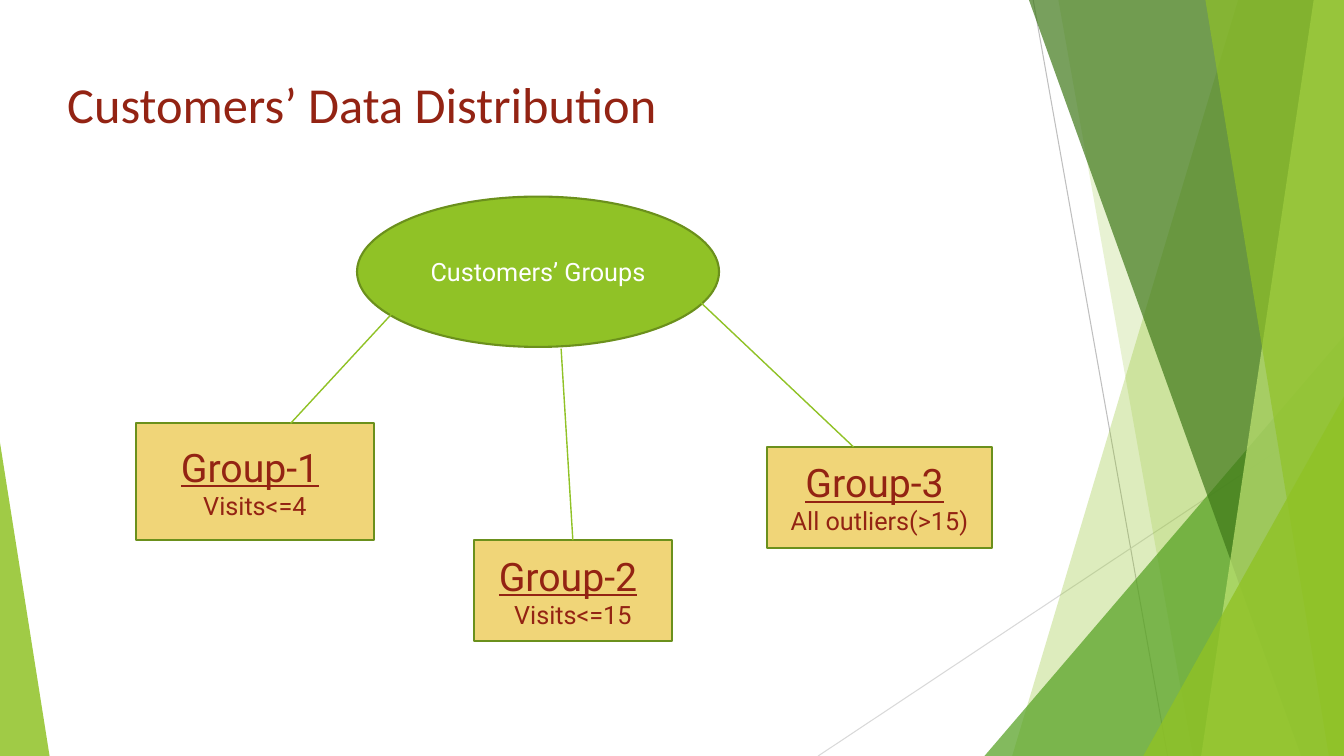
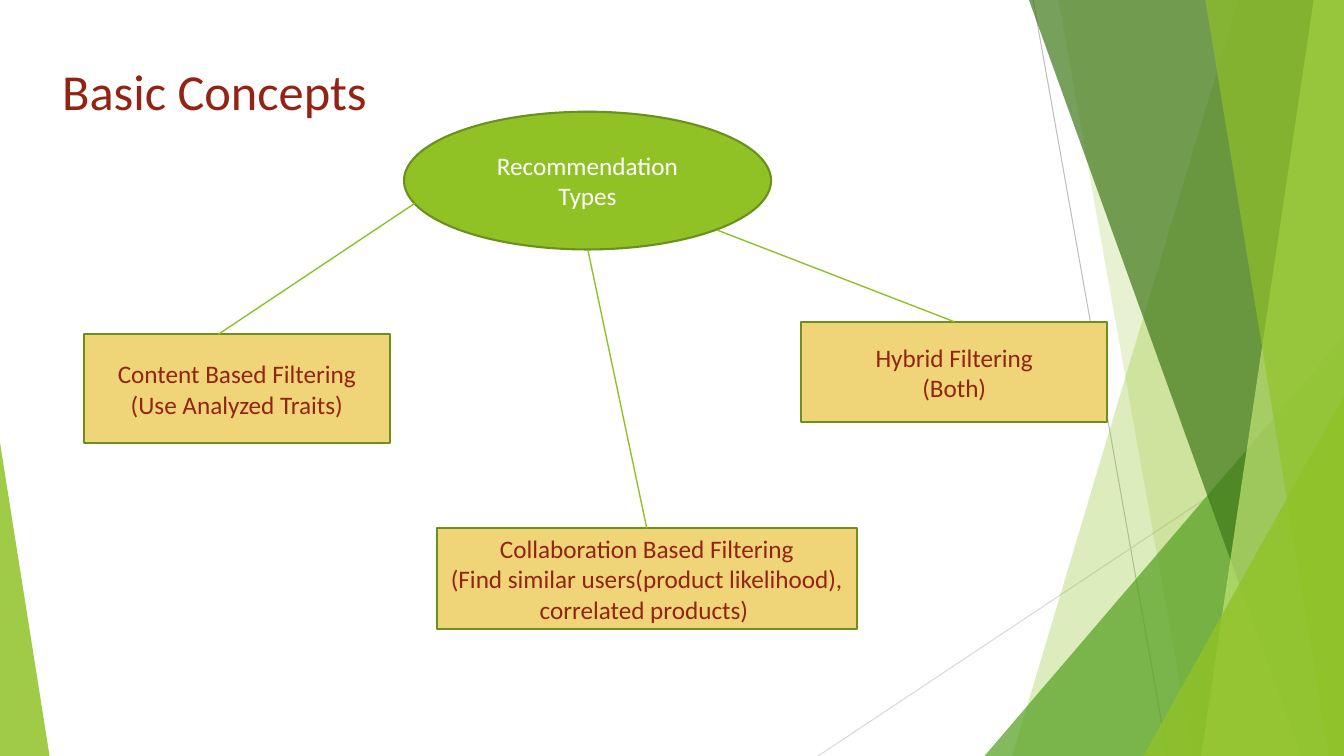
"""Build two tree diagrams on a shared layout with a faceted green backdrop."""
from dataclasses import dataclass

from lxml.etree import SubElement
from pptx import Presentation
from pptx.dml.color import RGBColor
from pptx.enum.shapes import MSO_CONNECTOR, MSO_SHAPE
from pptx.enum.text import MSO_ANCHOR, PP_ALIGN
from pptx.oxml.ns import qn
from pptx.util import Emu, Inches, Pt

COLS, ROWS = 160, 90
CELL = Inches(1) // 12

GREEN = RGBColor(0x90, 0xC2, 0x26)
MID_GREEN = RGBColor(0x54, 0xA0, 0x21)
DARK_GREEN = RGBColor(0x3F, 0x78, 0x19)
PALE_GREEN = RGBColor(0xC0, 0xE4, 0x74)
OUTLINE = RGBColor(0x6B, 0x90, 0x1C)
SAND = RGBColor(0xF0, 0xD5, 0x78)
RED = RGBColor(0x93, 0x23, 0x13)
WHITE = RGBColor(0xFF, 0xFF, 0xFF)
GRAY = RGBColor(0xBF, 0xBF, 0xBF)
LIGHT_GRAY = RGBColor(0xD9, 0xD9, 0xD9)

Point = tuple[float, float]
Box = tuple[float, float, float, float]


@dataclass(frozen=True)
class Band:
    top_x: float
    bottom_x: float
    color: RGBColor
    alpha: int


@dataclass(frozen=True)
class Wedge:
    box: Box
    apex: int
    color: RGBColor
    alpha: int


@dataclass(frozen=True)
class Branch:
    heading: str
    detail: str
    box: Box
    start: Point
    end_x: float


@dataclass(frozen=True)
class Tree:
    title: str
    title_box: Box
    root: str
    root_box: Box
    font: str
    branches: tuple[Branch, ...]
    big_headings: bool = False


BACKDROP = (
    Band(147.4, 120.5, GREEN, 30),
    Band(126, 142, GREEN, 20),
    Wedge((117.2, 40, 42.8, 50), 1, MID_GREEN, 72),
    Band(122.5, 154.9, DARK_GREEN, 70),
    Band(156.4, 143, PALE_GREEN, 70),
    Band(143.5, 158.2, GREEN, 65),
    Wedge((136.1, 47.2, 23.9, 42.8), 1, GREEN, 80),
    Wedge((0, 52.7, 5.9, 37.3), 0, GREEN, 85),
)

TREES = (
    Tree("Customers’ Data Distribution", (6.8, 7.8, 73.1, 8.9),
         "Customers’ Groups", (42.5, 23.4, 43.1, 17.9), "Roboto", (
             Branch("Group-1", "Visits<=4", (16.2, 50.4, 28.3, 13.9), (46.7, 37.3), 34.6),
             Branch("Group-2", "Visits<=15", (56.4, 64.3, 23.6, 12), (66.8, 41.5), 68.2),
             Branch("Group-3", "All outliers(>15)", (91.3, 53.2, 26.8, 12), (81.4, 34.1), 101.6),
         ), big_headings=True),
    Tree("Basic Concepts", (6.2, 6, 41.9, 9.4),
         "Recommendation Types", (48.1, 13.3, 43.7, 16.4), "Calibri", (
             Branch("Content Based Filtering", "(Use Analyzed Traits)",
                    (10, 39.8, 36.4, 13), (49.4, 24.2), 26),
             Branch("Collaboration Based Filtering",
                    "(Find similar users(product likelihood), correlated products) ",
                    (52, 62.9, 50, 12), (70, 29.8), 77),
             Branch("Hybrid Filtering", "(Both)", (95.4, 38.3, 36.4, 12), (85.4, 27.4), 113.6),
         )),
)


def grid(*cells: float) -> list[Emu]:
    """Turn grid cells into lengths."""
    return [Emu(round(c * CELL)) for c in cells]


def write(p, text: str, *, font: str, color: RGBColor, size: int = 18,
          underline: bool = False, align=PP_ALIGN.CENTER) -> None:
    """Add one formatted run to a paragraph."""
    p.alignment = align
    r = p.add_run()
    r.text = text
    r.font.name, r.font.size, r.font.underline = font, Pt(size), underline
    r.font.color.rgb = color


def add_line(shapes, start: Point, end: Point, color: RGBColor, width: float) -> None:
    """Draw a straight line without a shadow."""
    line = shapes.add_connector(MSO_CONNECTOR.STRAIGHT, *grid(*start, *end))
    line.line.color.rgb, line.line.width = color, Pt(width)
    SubElement(line.element.spPr, qn("a:effectLst"))


def add_facet(shapes, facet: Band | Wedge) -> None:
    """Draw one translucent piece of the backdrop."""
    if isinstance(facet, Wedge):
        sp = shapes.add_shape(MSO_SHAPE.ISOSCELES_TRIANGLE, *grid(*facet.box))
        sp.adjustments[0] = facet.apex
    else:
        builder = shapes.build_freeform(*grid(facet.top_x, 0))
        corners = ((COLS, 0), (COLS, ROWS), (facet.bottom_x, ROWS))
        builder.add_line_segments([grid(*c) for c in corners], close=True)
        sp = builder.convert_to_shape()
    sp.shadow.inherit = False
    sp.line.fill.background()
    sp.fill.solid()
    sp.fill.fore_color.rgb = facet.color
    color = next(sp.element.spPr.iter(qn("a:srgbClr")))
    SubElement(color, qn("a:alpha"), val=str(facet.alpha * 1000))


def add_backdrop(s, layout) -> None:
    """Draw the backdrop as a group and move it to the layout."""
    group = s.shapes.add_group_shape()
    add_line(group.shapes, (123, 0), (139, ROWS), GRAY, 0.75)
    add_line(group.shapes, (COLS, 48.4), (97.4, ROWS), LIGHT_GRAY, 0.75)
    for facet in BACKDROP:
        add_facet(group.shapes, facet)
    layout.shapes.element.insert(2, group.element)


def add_node(s, kind: MSO_SHAPE, box: Box, fill: RGBColor):
    """Draw an outlined node and return its text frame."""
    sp = s.shapes.add_shape(kind, *grid(*box))
    sp.shadow.inherit = False
    sp.fill.solid()
    sp.fill.fore_color.rgb = fill
    sp.line.color.rgb, sp.line.width = OUTLINE, Pt(1.5)
    tf = sp.text_frame
    tf.word_wrap, tf.vertical_anchor = True, MSO_ANCHOR.MIDDLE
    return tf


def add_branch(s, branch: Branch, font: str, big: bool) -> None:
    """Draw a branch box and the line that leads to it."""
    tf = add_node(s, MSO_SHAPE.RECTANGLE, branch.box, SAND)
    p = tf.paragraphs[0]
    size = 28 if big else 18
    write(p, branch.heading, font=font, color=RED, size=size, underline=big)
    if big:
        write(p, " ", font=font, color=RED, size=size)
    write(tf.add_paragraph(), branch.detail, font=font, color=RED)
    add_line(s.shapes, branch.start, (branch.end_x, branch.box[1]), GREEN, 1)


def fill_slide(s, tree: Tree) -> None:
    """Set the title and draw the tree."""
    title = s.shapes.title
    title.left, title.top, title.width, title.height = grid(*tree.title_box)
    tf = title.text_frame
    tf.word_wrap, tf.vertical_anchor = True, MSO_ANCHOR.MIDDLE
    write(tf.paragraphs[0], tree.title, font="Calibri", color=RED, size=36,
          align=PP_ALIGN.LEFT)
    root = add_node(s, MSO_SHAPE.OVAL, tree.root_box, GREEN)
    write(root.paragraphs[0], tree.root, font=tree.font, color=WHITE)
    for branch in tree.branches:
        add_branch(s, branch, tree.font, tree.big_headings)


def main() -> None:
    """Build and save the presentation."""
    prs = Presentation()
    prs.slide_width, prs.slide_height = grid(COLS, ROWS)
    layout = prs.slide_layouts[5]
    for ph in list(layout.placeholders):
        if ph.placeholder_format.idx:
            layout.shapes.element.remove(ph.element)
    slides = [prs.slides.add_slide(layout) for _ in TREES]
    add_backdrop(slides[0], layout)
    for s, tree in zip(slides, TREES):
        fill_slide(s, tree)
    prs.save("out.pptx")


if __name__ == "__main__":
    main()
